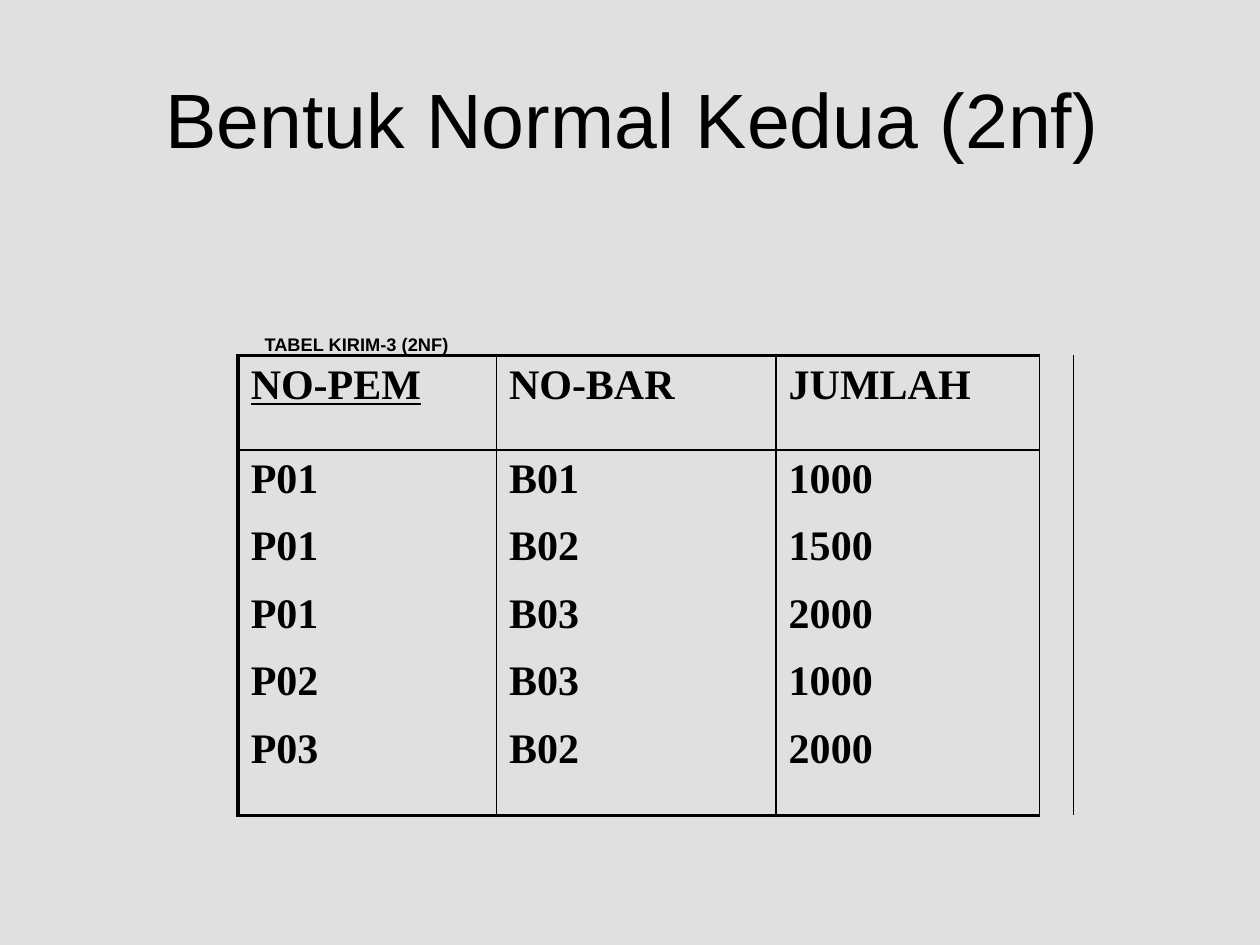
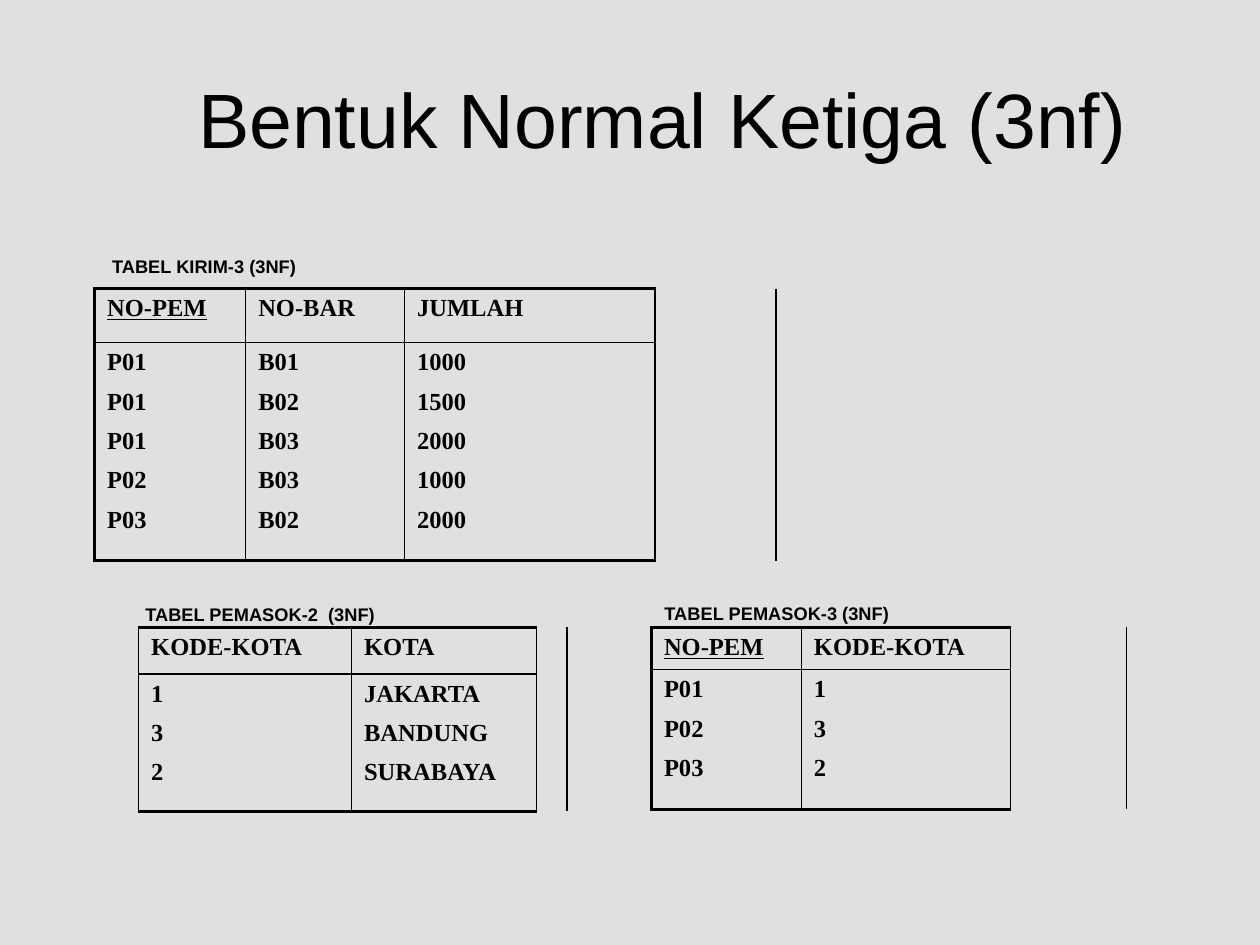
"""Builds two slides on the second and third normal forms."""
from lxml.etree import SubElement
from pptx import Presentation
from pptx.dml.color import RGBColor
from pptx.enum.text import MSO_ANCHOR as Anchor, MSO_AUTO_SIZE as AutoSize, PP_ALIGN as Align
from pptx.oxml.ns import qn
from pptx.util import Inches, Pt

COLUMNS, ROWS = 100, 75
SHIPMENTS = {
    "NO-PEM": ["P01", "P01", "P01", "P02", "P03"],
    "NO-BAR": ["B01", "B02", "B03", "B03", "B02"],
    "JUMLAH": ["1000", "1500", "2000", "1000", "2000"],
}
CITIES = {"KODE-KOTA": ["1", "3", "2"], "KOTA": ["JAKARTA", "BANDUNG", "SURABAYA"]}
SUPPLIERS = {"NO-PEM": ["P01", "P02", "P03"], "KODE-KOTA": ["1", "3", "2"]}


def color(value):
    return RGBColor.from_string(value)


class Deck:
    """Holds the shared style and the slide being drawn."""

    INK, PAPER = "000000", "E0E0E0"
    SANS, SERIF = "Arial", "Times New Roman"
    THICK, THIN = 2.25, 1
    KEY = "NO-PEM"
    PLAIN_TABLE = "{2D5ABB26-0587-4C30-8999-92F81FD0307C}"

    def __init__(self):
        self.presentation = Presentation()
        self.presentation.slide_width = Inches(10)
        self.presentation.slide_height = Inches(7.5)
        self.slide = None

    def across(self, columns):
        return round(self.presentation.slide_width * columns / COLUMNS)

    def down(self, rows):
        return round(self.presentation.slide_height * rows / ROWS)

    def add_slide(self, title, title_width):
        self.slide = self.presentation.slides.add_slide(self.presentation.slide_layouts[6])
        fill = self.slide.background.fill
        fill.solid()
        fill.fore_color.rgb = color(self.PAPER)
        frame = self.add_text(title, 5.2, 3.1, title_width, 12.5, 44)
        frame.word_wrap = True
        frame.vertical_anchor = Anchor.MIDDLE

    def style(self, paragraph, size, name, bold=False):
        font = paragraph.font
        font.size, font.name, font.bold = Pt(size), name, bold
        font.color.rgb = color(self.INK)

    def add_text(self, text, left, top, width, height, size, bold=False):
        box = self.slide.shapes.add_textbox(
            self.across(left), self.down(top), self.across(width), self.down(height))
        paragraph = box.text_frame.paragraphs[0]
        paragraph.text = text
        paragraph.alignment = Align.CENTER
        self.style(paragraph, size, self.SANS, bold)
        return box.text_frame

    def add_caption(self, text, left, top, width):
        frame = self.add_text(text, left, top, width, 3, 18, bold=True)
        frame.word_wrap = False
        frame.auto_size = AutoSize.SHAPE_TO_FIT_TEXT
        properties = frame.paragraphs[0]._p.get_or_add_pPr()
        properties.get_or_add_defRPr().set("baseline", "-25000")

    def add_table(self, data, left, top, widths, heights, size, first=0, left_border=THICK):
        shape = self.slide.shapes.add_table(
            2, len(widths), self.across(left), self.down(top),
            self.across(sum(widths)), self.down(sum(heights)))
        table = shape.table
        table.first_row = table.horz_banding = False
        table._tbl.tblPr.find(qn("a:tableStyleId")).text = self.PLAIN_TABLE
        for row, height in zip(table.rows, heights):
            row.height = self.down(height)
        for column, width in zip(table.columns, widths):
            column.width = self.across(width)
        last = first + len(data)
        for index, (heading, values) in enumerate(data.items(), first):
            side = left_border if index == first else self.THIN
            header, body = table.cell(0, index), table.cell(1, index)
            self.fill_cell(header, [heading], size, L=side, R=self.THIN, T=self.THICK, B=self.THIN)
            self.fill_cell(body, values, size, L=side, R=self.THIN, T=self.THIN, B=self.THICK)
            header.text_frame.paragraphs[0].font.underline = heading == self.KEY
        for index in (*range(first), *range(last, len(widths))):
            margin = table.cell(0, index)
            margin.merge(table.cell(1, index))
            facing = {first - 1: {"R": left_border}, last: {"L": self.THIN}}
            self.fill_cell(margin, [], size, **facing.get(index, {}))

    def fill_cell(self, cell, lines, size, **borders):
        cell.text = "\n".join(lines)
        for paragraph in cell.text_frame.paragraphs:
            spacing = paragraph._p.get_or_add_pPr().get_or_add_spcBef()
            SubElement(spacing, qn("a:spcPct"), val="50000")
            self.style(paragraph, size, self.SERIF, bold=True)
        properties = cell._tc.get_or_add_tcPr()
        for edge, weight in borders.items():
            line = SubElement(properties, qn(f"a:ln{edge}"), w=str(Pt(weight)))
            SubElement(SubElement(line, qn("a:solidFill")), qn("a:srgbClr"), val=self.INK)
        cell.fill.background()


def main():
    deck = Deck()
    deck.add_slide("Bentuk Normal Kedua (2nf)", 90)
    deck.add_table(SHIPMENTS, 18.9, 28.2, (20.5, 22.2, 20.9, 2.7, 13.8), (7.5, 29), 24)
    deck.add_caption("TABEL KIRIM-3 (2NF)", 18.8, 24.3, 19)

    deck.add_slide("Bentuk Normal Ketiga (3nf)", 94.8)
    deck.add_table(SHIPMENTS, 7.5, 22.9, (12, 12.6, 19.9, 9.6, 11.2), (4.3, 17.3), 14)
    deck.add_table(SUPPLIERS, 51.7, 49.8, (11.9, 16.6, 9.2, 7.7), (2.9, 11.1), 14)
    deck.add_table(CITIES, 0, 49.8, (11, 16.9, 14.7, 2.3, 9.1), (3.7, 10.9), 14,
                   first=1, left_border=deck.THIN)
    deck.add_caption("TABEL KIRIM-3 (3NF)", 6.7, 18.1, 19)
    deck.add_caption("TABEL PEMASOK-2  (3NF)", 9.1, 45.7, 23.1)
    deck.add_caption("TABEL PEMASOK-3 (3NF)", 50.3, 45.6, 22.7)
    deck.presentation.save("out.pptx")


if __name__ == "__main__":
    main()
